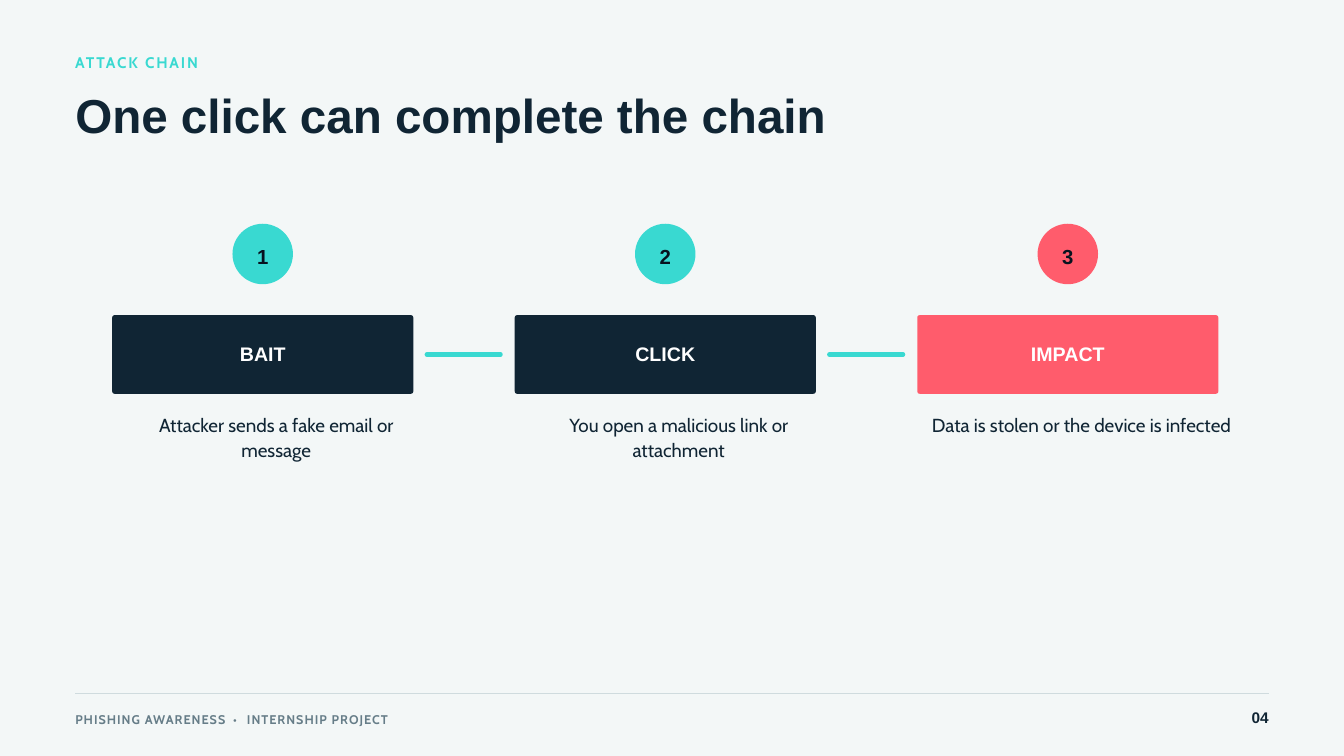
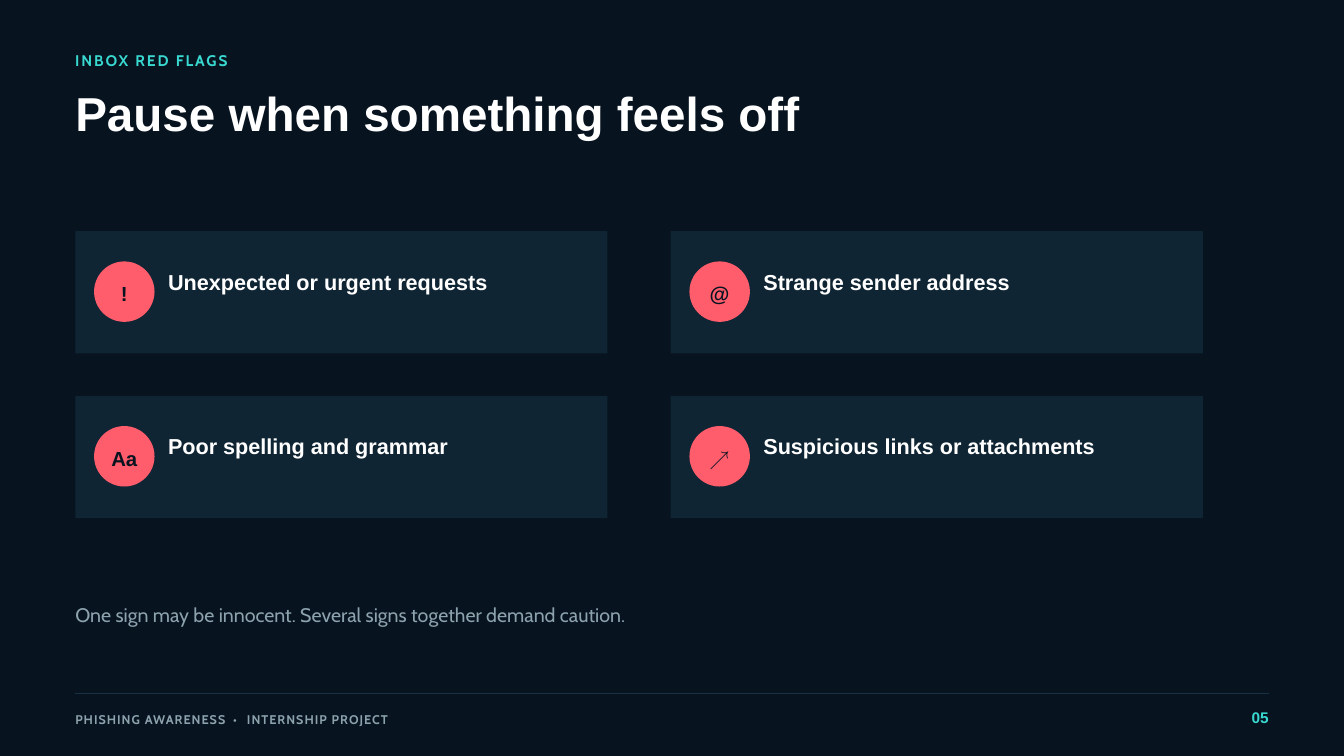
from dataclasses import dataclass
from typing import NamedTuple

from lxml import etree
from pptx import Presentation
from pptx.dml.color import RGBColor
from pptx.enum.shapes import MSO_CONNECTOR, MSO_SHAPE
from pptx.enum.text import MSO_ANCHOR, MSO_AUTO_SIZE, PP_ALIGN
from pptx.oxml.ns import qn
from pptx.shapes.autoshape import Shape
from pptx.slide import Slide
from pptx.text.text import TextFrame
from pptx.util import Inches, Pt

LEFT, MID, RIGHT = PP_ALIGN.LEFT, PP_ALIGN.CENTER, PP_ALIGN.RIGHT
TOP, MIDDLE = MSO_ANCHOR.TOP, MSO_ANCHOR.MIDDLE
NO_FIT = MSO_AUTO_SIZE.NONE
OVAL, RECT, ROUND = MSO_SHAPE.OVAL, MSO_SHAPE.RECTANGLE, MSO_SHAPE.ROUNDED_RECTANGLE
STRAIGHT = MSO_CONNECTOR.STRAIGHT

NIGHT = RGBColor(0x07, 0x13, 0x1F)
NAVY = RGBColor(0x10, 0x25, 0x34)
STEEL = RGBColor(0x18, 0x32, 0x43)
SLATE = RGBColor(0x66, 0x7D, 0x88)
MIST = RGBColor(0x8C, 0xA2, 0xAD)
SILVER = RGBColor(0xCF, 0xDB, 0xDE)
PALE = RGBColor(0xF3, 0xF7, 0xF7)
WHITE = RGBColor(0xFF, 0xFF, 0xFF)
TEAL = RGBColor(0x39, 0xD9, 0xD1)
CORAL = RGBColor(0xFF, 0x5C, 0x6C)

HEAD, BODY = "Arial", "Cabin"
MARGIN, EDGE = 1.12, 18.88
BADGE = 0.9
DOT = " • "


@dataclass(frozen=True)
class Theme:
    back: RGBColor
    ink: RGBColor
    rule: RGBColor
    foot: RGBColor
    page: RGBColor
    top: float


LIGHT = Theme(PALE, NAVY, SILVER, SLATE, NAVY, 0.75)
DARK = Theme(NIGHT, WHITE, STEEL, MIST, TEAL, 0.72)


class Step(NamedTuple):
    name: str
    note: str
    dot: RGBColor
    fill: RGBColor


class Flag(NamedTuple):
    sign: str
    text: str


STEPS = [
    Step("BAIT", "Attacker sends a fake email or message", TEAL, NAVY),
    Step("CLICK", "You open a malicious link or attachment", TEAL, NAVY),
    Step("IMPACT", "Data is stolen or the device is infected", CORAL, CORAL),
]
FLAGS = [
    Flag("!", "Unexpected or urgent requests"),
    Flag("@", "Strange sender address"),
    Flag("Aa", "Poor spelling and grammar"),
    Flag("↗", "Suspicious links or attachments"),
]


def write(frame: TextFrame, text: str, *, size: float, color: RGBColor,
          lead: float, font: str = HEAD, bold: bool = True,
          align: PP_ALIGN = LEFT, anchor: MSO_ANCHOR = TOP,
          track: float = 0, wrap: bool = True) -> None:
    """Fill a frame with one paragraph; a dot divider gets wider tracking."""
    frame.auto_size = NO_FIT
    frame.word_wrap = wrap
    frame.vertical_anchor = anchor
    frame.margin_left = frame.margin_right = 0
    frame.margin_top = frame.margin_bottom = 0
    para = frame.paragraphs[0]
    para.alignment = align
    para.line_spacing = Pt(lead)
    para.space_before = Pt(0)
    for part in filter(None, text.partition(DOT)):
        run = para.add_run()
        run.text = part
        run.font.name = font
        run.font.size = Pt(size)
        run.font.bold = bold
        run.font.color.rgb = color
        space = track + 2.8 if part == DOT else track
        if space:
            run.font._element.set("spc", str(round(space * 100)))


def label(slide: Slide, text: str, x: float, y: float, w: float, h: float,
          **style) -> None:
    box = slide.shapes.add_textbox(Inches(x), Inches(y), Inches(w), Inches(h))
    write(box.text_frame, text, **style)


def block(slide: Slide, kind: MSO_SHAPE, fill: RGBColor,
          x: float, y: float, w: float, h: float) -> Shape:
    shape = slide.shapes.add_shape(kind, Inches(x), Inches(y), Inches(w), Inches(h))
    shape.shadow.inherit = False
    shape.fill.solid()
    shape.fill.fore_color.rgb = fill
    shape.line.fill.background()
    return shape


def badge(slide: Slide, sign: str, fill: RGBColor, x: float, y: float) -> None:
    disc = block(slide, OVAL, fill, x, y, BADGE, BADGE)
    write(disc.text_frame, sign, size=21.8, color=NIGHT, lead=30.4,
          align=MID, anchor=MIDDLE, wrap=False)


def rule(slide: Slide, x: float, end: float, y: float, color: RGBColor,
         width: float, cap: str = "flat") -> None:
    line = slide.shapes.add_connector(
        STRAIGHT, Inches(x), Inches(y), Inches(end), Inches(y))
    line.line.color.rgb = color
    line.line.width = Pt(width)
    props = line._element.spPr
    props.find(qn("a:ln")).set("cap", cap)
    etree.SubElement(props, qn("a:effectLst"))


def start(deck: Presentation, theme: Theme, kicker: str, title: str,
          page: int) -> Slide:
    """Add a slide with its background, heading and footer."""
    slide = deck.slides.add_slide(deck.slide_layouts.get_by_name("Title Only"))
    slide.background.fill.solid()
    slide.background.fill.fore_color.rgb = theme.back
    label(slide, kicker, MARGIN, theme.top, 5.4, 0.3, size=16.5, color=TEAL,
          lead=23.1, font=BODY, track=2)
    head = slide.shapes.title
    head.left, head.top = Inches(MARGIN), Inches(theme.top + 0.63)
    head.width, head.height = Inches(13.2), Inches(0.77)
    write(head.text_frame, title, size=51, color=theme.ink, lead=53.5)

    rule(slide, MARGIN, EDGE, 10.32, theme.rule, 2)
    label(slide, "PHISHING AWARENESS • INTERNSHIP PROJECT", MARGIN, 10.56,
          7.92, 0.24, size=13.5, color=theme.foot, lead=18.9, font=BODY,
          track=1.1)
    label(slide, f"{page:02}", EDGE - 0.75, 10.49, 0.75, 0.3, size=16.5,
          color=theme.page, lead=23.1, align=RIGHT)
    return slide


def chain(deck: Presentation) -> None:
    slide = start(deck, LIGHT, "ATTACK CHAIN", "One click can complete the chain", 4)
    first, pitch, width, top, height = 1.67, 5.99, 4.48, 4.69, 1.17
    for i, step in enumerate(STEPS):
        x = first + i * pitch
        badge(slide, str(i + 1), step.dot, x + (width - BADGE) / 2, 3.33)
        card = block(slide, ROUND, step.fill, x, top, width, height)
        card.adjustments[0] = 0.03
        write(card.text_frame, step.name, size=21, color=WHITE, lead=24.1,
              align=MID, anchor=MIDDLE)
        label(slide, step.note, x + 0.2, 6.13, width, 0.72, size=20.2,
              color=NAVY, lead=26.3, font=BODY, bold=False, align=MID)
        if i < len(STEPS) - 1:
            rule(slide, x + width + 0.2, x + pitch - 0.21, top + height / 2,
                 TEAL, 4.5, "rnd")


def flags(deck: Presentation) -> None:
    slide = start(deck, DARK, "INBOX RED FLAGS", "Pause when something feels off", 5)
    for i, flag in enumerate(FLAGS):
        row, col = divmod(i, 2)
        x, y = MARGIN + col * 8.86, 3.44 + row * 2.45
        block(slide, RECT, NAVY, x, y, 7.92, 1.82)
        badge(slide, flag.sign, CORAL, x + 0.28, y + 0.45)
        label(slide, flag.text, x + 1.38, y + 0.49, 6.15, 0.42, size=23.2,
              color=WHITE, lead=32.5)
    label(slide, "One sign may be innocent. Several signs together demand caution.",
          MARGIN, 8.91, 13.02, 0.4, size=21, color=MIST, lead=29.4, font=BODY,
          bold=False)


def main() -> None:
    deck = Presentation()
    deck.slide_width, deck.slide_height = Inches(20), Inches(11.25)
    chain(deck)
    flags(deck)
    deck.save("out.pptx")


if __name__ == "__main__":
    main()
